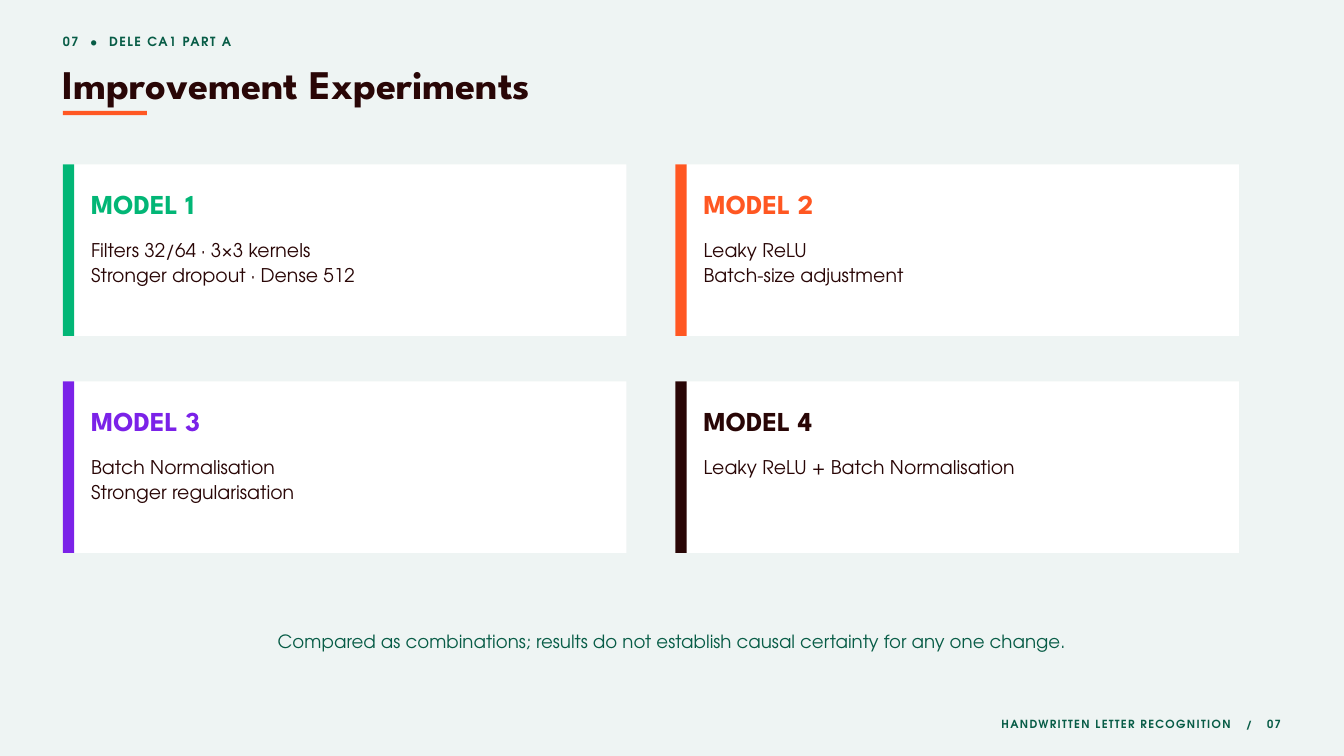
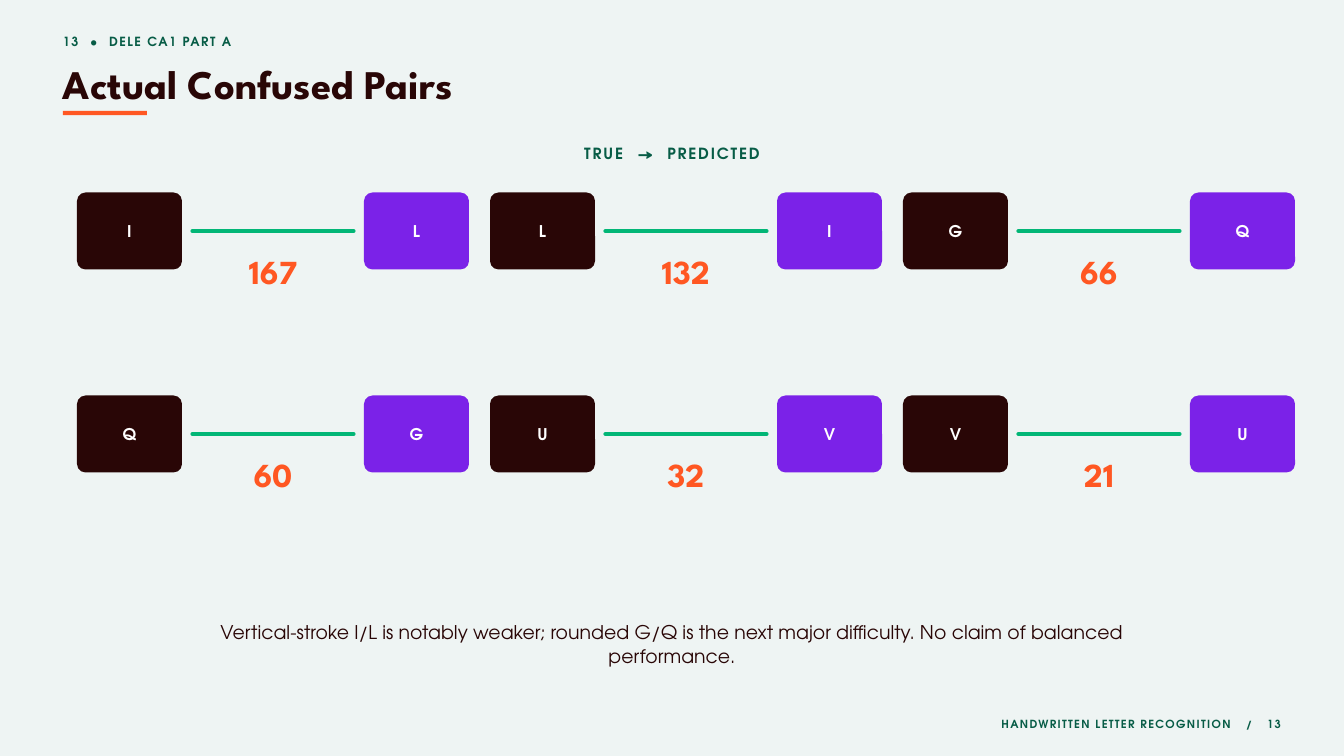
"""Builds two slides on letter recognition: improvement experiments and confused pairs."""
import pptx
import pptx.dml.color
import pptx.enum.shapes
import pptx.enum.text
import pptx.oxml
import pptx.util
from lxml import etree

Pt = pptx.util.Pt
rgb = pptx.dml.color.RGBColor.from_string
SHAPE = pptx.enum.shapes.MSO_SHAPE
ALIGN = pptx.enum.text.PP_ALIGN
ANCHOR = pptx.enum.text.MSO_ANCHOR

PALE, WHITE, DARK, FOREST = "EEF4F3", "FFFFFF", "290606", "075C46"
GREEN, ORANGE, PURPLE = "02B676", "FF5722", "7B22E8"
HEAD, BODY = "League Spartan", "TeX Gyre Adventor"
LEFT = 67.5


def add(s, x, y, w, h, fill=None, kind=SHAPE.RECTANGLE):
    """Add a filled shape, or a text box when no fill is given."""
    if fill is None:
        return s.shapes.add_textbox(Pt(x), Pt(y), Pt(w), Pt(h))
    sp = s.shapes.add_shape(kind, Pt(x), Pt(y), Pt(w), Pt(h))
    sp.shadow.inherit = False
    sp.fill.solid()
    sp.fill.fore_color.rgb = rgb(fill)
    sp.line.fill.background()
    return sp


def write(sp, text, size, line, color=DARK, font=BODY, bold=False, align=ALIGN.LEFT,
          anchor=ANCHOR.TOP, spacing=0, gap=0, margins=(0, 0, 0, 0)):
    """Write paragraphs split at line ends; each ~ becomes a space widened by gap."""
    tf = sp.text_frame
    tf.word_wrap = True
    tf.auto_size = pptx.enum.text.MSO_AUTO_SIZE.NONE
    tf.vertical_anchor = anchor
    tf.margin_left, tf.margin_top, tf.margin_right, tf.margin_bottom = map(Pt, margins)
    for i, row in enumerate(text.split("\n")):
        p = tf.add_paragraph() if i else tf.paragraphs[0]
        p.alignment = align
        p.line_spacing = Pt(line)
        for part in row.replace("~", "~ ~").split("~"):
            r = p.add_run()
            r.text = part
            r.font.size, r.font.name, r.font.bold = Pt(size), font, bold
            r.font.color.rgb = rgb(color)
            track = spacing + (gap if part == " " else 0)
            if track:
                r._r.get_or_add_rPr().set("spc", str(round(track * 100)))


prs = pptx.Presentation()
prs.slide_width, prs.slide_height = Pt(1440), Pt(810)
prs.slide_master.background.fill.solid()
prs.slide_master.background.fill.fore_color.rgb = rgb(PALE)

slides = []
for number, title in [("07", "Improvement Experiments"), ("13", "Actual Confused Pairs")]:
    s = prs.slides.add_slide(prs.slide_layouts[5])
    slides.append(s)
    write(add(s, LEFT, 33.75, 450, 18), f"{number}~•~DELE CA1 PART A", 13.5, 18.9,
          FOREST, bold=True, spacing=1.62, gap=5.4)
    sp = s.shapes.title
    sp.left, sp.top, sp.width, sp.height = Pt(LEFT), Pt(70.5), Pt(1125), Pt(46)
    write(sp, title, 43.5, 44.4, font=HEAD, bold=True)
    add(s, LEFT, 118.75, 90, 4.75, ORANGE)
    write(add(s, LEFT, 766, 1305, 15), f"HANDWRITTEN LETTER RECOGNITION~/~{number}", 12, 16.8,
          FOREST, bold=True, align=ALIGN.RIGHT, spacing=1.45, gap=9.6)

experiments, pairs = slides

models = [
    (GREEN, "Filters 32/64 · 3×3 kernels\nStronger dropout · Dense 512"),
    (ORANGE, "Leaky ReLU\nBatch-size adjustment"),
    (PURPLE, "Batch Normalisation\nStronger regularisation"),
    (DARK, "Leaky ReLU + Batch Normalisation"),
]
for i, (color, changes) in enumerate(models):
    x, y = LEFT + i % 2 * 656.25, 176.25 + i // 2 * 232.5
    add(experiments, x, y, 603.75, 183.75, WHITE)
    add(experiments, x, y, 12, 183.75, color)
    write(add(experiments, x + 30, y + 29.7, 525, 31), f"MODEL {i + 1}", 29.25, 29.8,
          color, HEAD, bold=True)
    write(add(experiments, x + 30, y + 78.2, 525, 50), changes, 20.25, 25.95)
write(add(experiments, 135, 673.5, 1170, 25),
      "Compared as combinations; results do not establish causal certainty for any one change.",
      19.5, 25, FOREST, align=ALIGN.CENTER)

confusions = [("I", "L", 167), ("L", "I", 132), ("G", "Q", 66),
              ("Q", "G", 60), ("U", "V", 32), ("V", "U", 21)]
for i, (true, predicted, count) in enumerate(confusions):
    x, y = 82.5 + i % 3 * 442.5, 206.25 + i // 3 * 217.5
    for letter, offset, color in [(true, 0, DARK), (predicted, 307.5, PURPLE)]:
        sp = add(pairs, x + offset, y, 112.5, 82.5, color, SHAPE.ROUNDED_RECTANGLE)
        sp.adjustments[0] = 0.11
        write(sp, letter, 17.25, 19, WHITE, bold=True, align=ALIGN.CENTER,
              anchor=ANCHOR.MIDDLE, margins=(4.5, 6.5, 4.5, 4.5))
    link = pairs.shapes.add_connector(pptx.enum.shapes.MSO_CONNECTOR.STRAIGHT,
                                      Pt(x + 123.75), Pt(y + 41.25),
                                      Pt(x + 296.25), Pt(y + 41.25))
    link.line.color.rgb = rgb(GREEN)
    link.line.width = Pt(4.5)
    link.line._get_or_add_ln().set("cap", "rnd")
    etree.SubElement(link._element.spPr, pptx.oxml.ns.qn("a:effectLst"))
    write(add(pairs, x + 153.75, y + 68.75, 112.5, 37.5), str(count), 36, 36.7,
          ORANGE, HEAD, bold=True, align=ALIGN.CENTER)
write(add(pairs, 502.5, 151, 435, 22.5), "TRUE~→~PREDICTED", 16.5, 23.1, FOREST,
      bold=True, align=ALIGN.CENTER, spacing=1.98, gap=6.6)
write(add(pairs, 183.5, 663, 1073, 50.5),
      "Vertical-stroke I/L is notably weaker; rounded G/Q is the next major difficulty. "
      "No claim of balanced performance.", 20.25, 25.9, align=ALIGN.CENTER)

prs.save("out.pptx")
